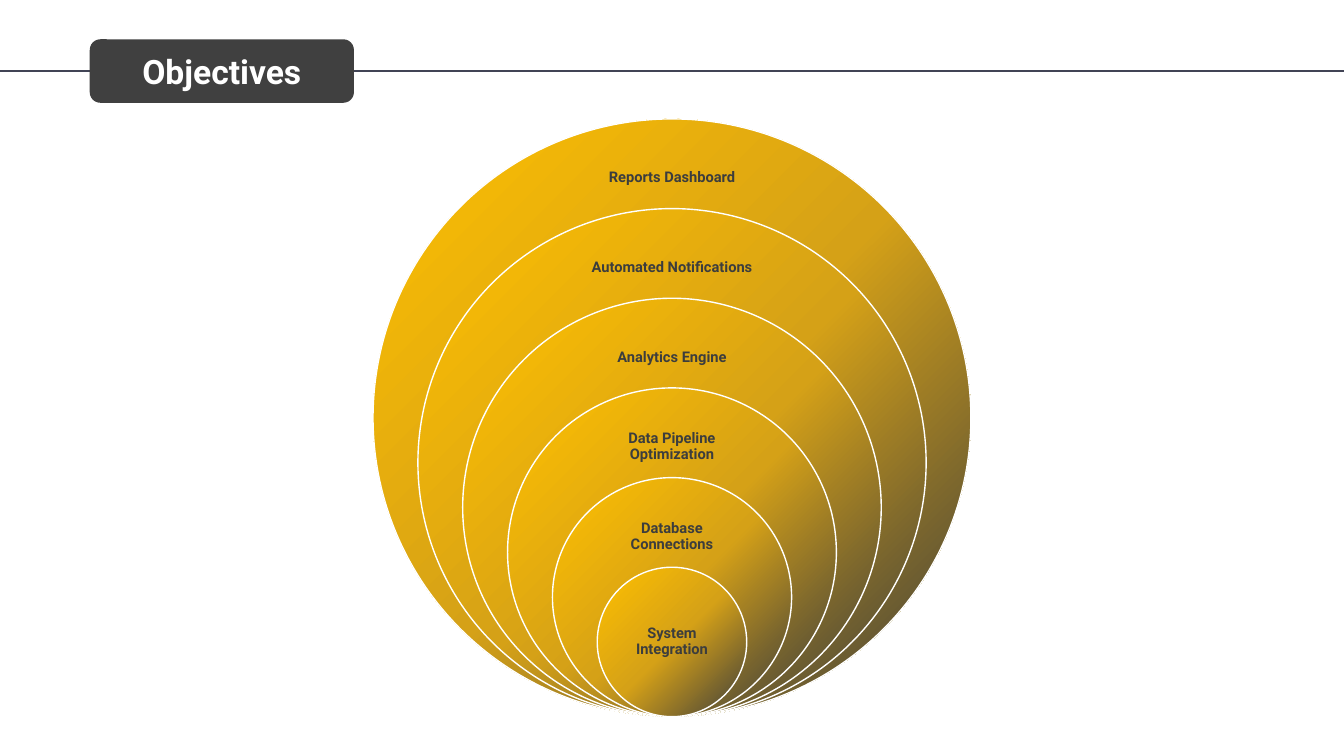
from lxml import etree
from pptx import Presentation
from pptx.dml.color import RGBColor
from pptx.enum.shapes import MSO_CONNECTOR, MSO_SHAPE
from pptx.enum.text import MSO_ANCHOR, MSO_AUTO_SIZE, PP_ALIGN
from pptx.oxml.ns import qn
from pptx.util import Inches, Pt

WHITE = RGBColor(0xFF, 0xFF, 0xFF)
CHARCOAL = RGBColor(0x40, 0x40, 0x40)
SLATE = RGBColor(0x41, 0x44, 0x55)
LABEL_COLOR = RGBColor(0x3C, 0x3D, 0x3D)
GOLD = RGBColor(0xFF, 0xC0, 0x00)
OCHRE = RGBColor(0xD5, 0xA1, 0x17)
GRADIENT = [(0, GOLD), (51, OCHRE), (100, LABEL_COLOR)]
FONT = "Roboto"
SLIDE_WIDTH, SLIDE_HEIGHT = 13.33, 7.5

# Objective and label width, from the outermost circle inwards
OBJECTIVES = [
    ("Reports Dashboard", 2.22),
    ("Automated Notifications", 2.17),
    ("Analytics Engine", 2.15),
    ("Data Pipeline Optimization", 1.76),
    ("Database Connections", 1.54),
    ("System Integration", 1.05),
]


def write_text(shape, text, size, color, margin_x, margin_y):
    frame = shape.text_frame
    frame.text = text
    frame.word_wrap = True
    frame.auto_size = MSO_AUTO_SIZE.NONE
    frame.vertical_anchor = MSO_ANCHOR.MIDDLE
    frame.margin_left = frame.margin_right = Inches(margin_x)
    frame.margin_top = frame.margin_bottom = Inches(margin_y)
    paragraph = frame.paragraphs[0]
    paragraph.alignment = PP_ALIGN.CENTER
    font = paragraph.runs[0].font
    font.name, font.size, font.bold = FONT, Pt(size), True
    font.color.rgb = color
    return paragraph


def fill_gradient(shape):
    shape.fill.gradient()
    shape.fill.gradient_angle = 315
    stops = shape._element.spPr.find(qn("a:gradFill")).find(qn("a:gsLst"))
    for stop in list(stops):
        stops.remove(stop)
    for position, color in GRADIENT:
        stop = etree.SubElement(stops, qn("a:gs"), pos=str(position * 1000))
        etree.SubElement(stop, qn("a:srgbClr"), val=str(color))


def add_header(slide, left, top, width, height):
    # Rule across the slide
    middle = Inches(top + height / 2)
    rule = slide.shapes.add_connector(
        MSO_CONNECTOR.STRAIGHT, 0, middle, Inches(SLIDE_WIDTH), middle)
    rule.line.color.rgb = SLATE
    rule.line.width = Pt(1.5)
    etree.SubElement(rule._element.spPr, qn("a:effectLst"))

    # Rounded plate
    box = [Inches(value) for value in (left, top, width, height)]
    plate = slide.shapes.add_shape(MSO_SHAPE.ROUNDED_RECTANGLE, *box)
    plate.shadow.inherit = False
    plate.fill.solid()
    plate.fill.fore_color.rgb = CHARCOAL
    plate.line.fill.background()

    # Title, brought in front of the plate
    title = slide.shapes.title
    title.left, title.top, title.width, title.height = box
    write_text(title, "Objectives", 24, WHITE, 0.13, 0.07)
    slide.shapes._spTree.append(title._element)


def add_nested_circles(slide, left, top, size):
    step = 0.15 * size
    center = left + size / 2
    for index, (text, label_width) in enumerate(OBJECTIVES):
        # Circles share their lowest point
        diameter = size - index * step
        circle_top = top + index * step
        circle = slide.shapes.add_shape(
            MSO_SHAPE.OVAL, Inches(center - diameter / 2), Inches(circle_top),
            Inches(diameter), Inches(diameter))
        circle.shadow.inherit = False
        fill_gradient(circle)
        circle.line.color.rgb = WHITE
        circle.line.width = Pt(1)

        # Label in the visible band; the innermost one sits mid-circle
        innermost = index == len(OBJECTIVES) - 1
        label_height = diameter / 2 if innermost else 0.59
        label_middle = circle_top + (diameter / 2 if innermost else step * 0.66)
        label = slide.shapes.add_textbox(
            Inches(center - label_width / 2),
            Inches(label_middle - label_height / 2),
            Inches(label_width), Inches(label_height))
        paragraph = write_text(label, text, 10.5, LABEL_COLOR, 0.09, 0.09)
        paragraph.line_spacing = 0.9


def main():
    presentation = Presentation()
    presentation.slide_width = Inches(SLIDE_WIDTH)
    presentation.slide_height = Inches(SLIDE_HEIGHT)
    slide = presentation.slides.add_slide(presentation.slide_layouts[5])
    add_header(slide, 0.89, 0.39, 2.62, 0.63)
    add_nested_circles(slide, 3.7, 1.18, 5.93)
    presentation.save("out.pptx")


if __name__ == "__main__":
    main()
